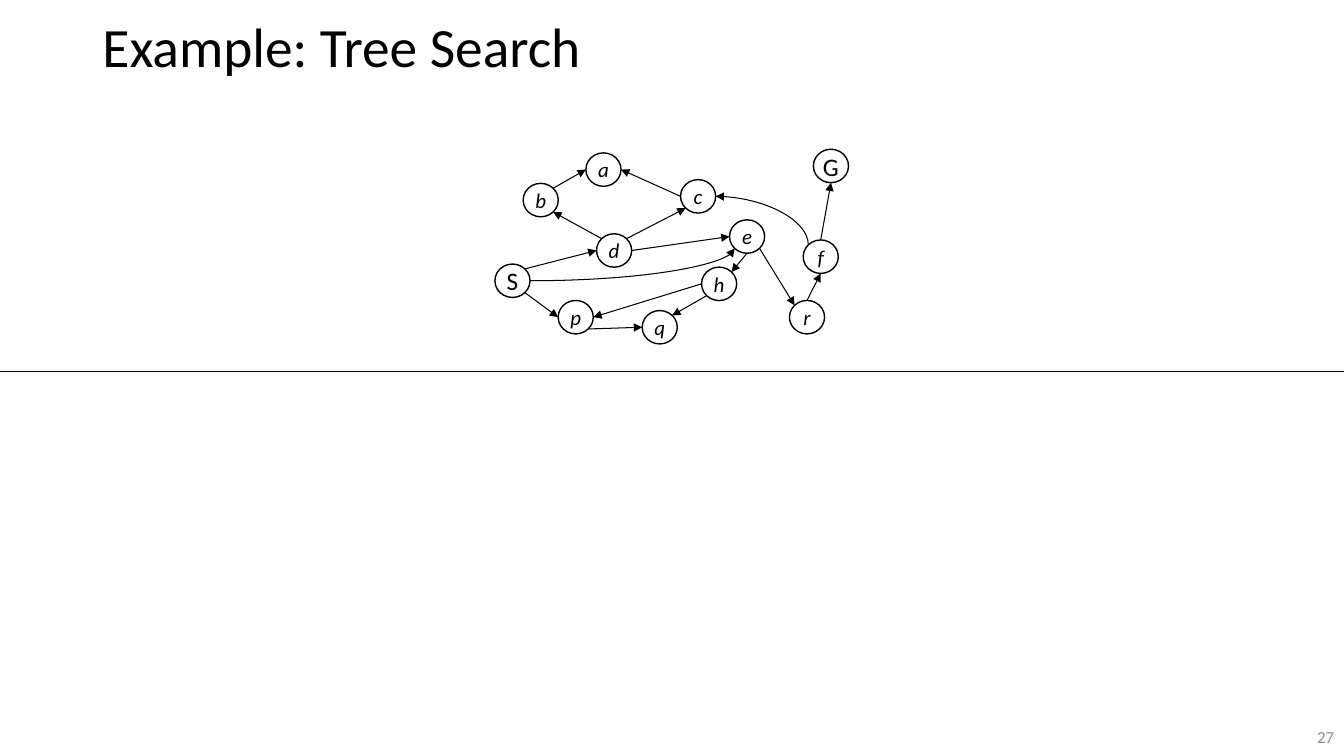
from dataclasses import dataclass
from math import cos, radians, sin

from lxml import etree
from pptx import Presentation
from pptx.dml.color import RGBColor
from pptx.enum import shapes, text
from pptx.oxml import ns
from pptx.util import Pt


@dataclass(frozen=True)
class Theme:
    """Colours, font, type sizes and line widths in points."""
    font: str = "Calibri"
    ink: str = "000000"
    muted: str = "8C8C8C"
    title_size: float = 39.6
    endpoint_size: float = 18
    node_size: float = 15
    number_size: float = 12
    outline: float = 1
    stroke: float = 0.75


THEME = Theme()
SLIDE_WIDTH, SLIDE_HEIGHT = 960, 540
NODE_WIDTH, NODE_HEIGHT = 25.1, 23.9
DIVIDER_Y = 265.5

NODES = {
    "S": (353.5, 188.6), "G": (581, 106.6), "d": (426.1, 167),
    "b": (373.7, 131), "p": (398.7, 214.6), "q": (458.7, 221.8),
    "c": (486.1, 128.3), "e": (521.1, 157), "h": (501.1, 190.8),
    "a": (418.5, 109.2), "f": (573.7, 171.4), "r": (563.9, 214.6),
}

SITE_ANGLES = {
    "right": 0, "bottom right": 45, "bottom": 90, "bottom left": 135,
    "left": 180, "top left": 225, "top": 270, "top right": 315,
}

STRAIGHT_EDGES = [
    ("S", "bottom right", "p", "left"),
    ("p", "bottom right", "q", "left"),
    ("h", "bottom left", "q", "top right"),
    ("h", "left", "p", "right"),
    ("e", "bottom", "h", "top right"),
    ("e", "bottom right", "r", "top left"),
    ("r", "top", "f", "bottom"),
    ("f", "top", "G", "bottom"),
    ("S", "top right", "d", "left"),
    ("d", "top left", "b", "bottom right"),
    ("b", "top right", "a", "left"),
    ("c", "left", "a", "right"),
    ("d", "top right", "c", "bottom left"),
    ("d", "right", "e", "left"),
]


def write_text(frame, content, size, color=THEME.ink, italic=False,
               align=text.PP_ALIGN.LEFT, wrap=True, spacing=None):
    """Fill a text frame with one formatted, vertically centred paragraph."""
    frame.word_wrap = wrap
    frame.auto_size = text.MSO_AUTO_SIZE.NONE
    frame.vertical_anchor = text.MSO_ANCHOR.MIDDLE
    paragraph = frame.paragraphs[0]
    paragraph.alignment = align
    paragraph.line_spacing = spacing
    run = paragraph.add_run()
    run.text = content
    run.font.name = THEME.font
    run.font.size = Pt(size)
    run.font.italic = italic
    run.font.color.rgb = RGBColor.from_string(color)


def add_title(slide, content):
    """Place and format the title placeholder."""
    title = slide.shapes.title
    title.left, title.top = Pt(66), Pt(9.4)
    title.width, title.height = Pt(828), Pt(52.6)
    write_text(title.text_frame, content, THEME.title_size, spacing=0.9)


def add_node(graph, label, left, top):
    """Draw a circled node, upright for start and goal, italic otherwise."""
    shape = graph.shapes.add_shape(
        shapes.MSO_SHAPE.FLOWCHART_CONNECTOR,
        Pt(left), Pt(top), Pt(NODE_WIDTH), Pt(NODE_HEIGHT))
    shape.shadow.inherit = False
    shape.fill.background()
    shape.line.color.rgb = RGBColor.from_string(THEME.ink)
    shape.line.width = Pt(THEME.outline)
    endpoint = label.isupper()
    write_text(shape.text_frame, label,
               THEME.endpoint_size if endpoint else THEME.node_size,
               italic=not endpoint, align=text.PP_ALIGN.CENTER, wrap=False)


def site_point(label, site):
    """Return the point on a node's outline at a named site."""
    left, top = NODES[label]
    angle = radians(SITE_ANGLES[site])
    return (left + NODE_WIDTH / 2 * (1 + cos(angle)),
            top + NODE_HEIGHT / 2 * (1 + sin(angle)))


def add_line(parent, begin, end, kind=shapes.MSO_CONNECTOR.STRAIGHT, arrow=True):
    """Draw a thin connector, with an arrowhead at its end if wanted."""
    connector = parent.shapes.add_connector(
        kind, *(Pt(length) for length in (*begin, *end)))
    connector.line.color.rgb = RGBColor.from_string(THEME.ink)
    connector.line.width = Pt(THEME.stroke)
    properties = connector._element.spPr
    if arrow:
        outline = properties.find(ns.qn("a:ln"))
        etree.SubElement(outline, ns.qn("a:tailEnd"), type="triangle")
    etree.SubElement(properties, ns.qn("a:effectLst"))
    return connector


def add_curve(graph, begin, end, upward=False):
    """Draw a one-bend curved arrow leaving sideways or, if asked, upward."""
    if upward:
        (x1, y1), (x2, y2) = begin, end
        middle_x, middle_y = (x1 + x2) / 2, (y1 + y2) / 2
        half_x, half_y = (x1 - x2) / 2, (y1 - y2) / 2
        begin = middle_x + half_y, middle_y - half_x
        end = middle_x - half_y, middle_y + half_x
    connector = add_line(graph, begin, end, shapes.MSO_CONNECTOR.CURVE)
    properties = connector._element.spPr
    properties.find(ns.qn("a:prstGeom")).set("prst", "curvedConnector2")
    if upward:
        properties.find(ns.qn("a:xfrm")).set("rot", "5400000")


def add_graph(slide):
    """Draw the search graph as one group."""
    graph = slide.shapes.add_group_shape()
    for label, (left, top) in NODES.items():
        add_node(graph, label, left, top)
    for source, source_site, target, target_site in STRAIGHT_EDGES:
        add_line(graph, site_point(source, source_site),
                 site_point(target, target_site))
    add_curve(graph, site_point("f", "top left"), site_point("c", "right"),
              upward=True)
    add_curve(graph, site_point("S", "right"), site_point("e", "bottom left"))


def add_page_number(slide, number):
    """Write the page number in the bottom right corner."""
    box = slide.shapes.add_textbox(Pt(917.5), Pt(512.6), Pt(42.5), Pt(27.4))
    write_text(box.text_frame, number, THEME.number_size, color=THEME.muted,
               align=text.PP_ALIGN.RIGHT)


def main():
    """Build and save the slide."""
    presentation = Presentation()
    presentation.slide_width = Pt(SLIDE_WIDTH)
    presentation.slide_height = Pt(SLIDE_HEIGHT)
    layout = presentation.slide_layouts.get_by_name("Title Only")
    slide = presentation.slides.add_slide(layout)
    add_title(slide, "Example: Tree Search")
    add_line(slide, (0, DIVIDER_Y), (SLIDE_WIDTH, DIVIDER_Y), arrow=False)
    add_graph(slide)
    add_page_number(slide, "27")
    presentation.save("out.pptx")


if __name__ == "__main__":
    main()
